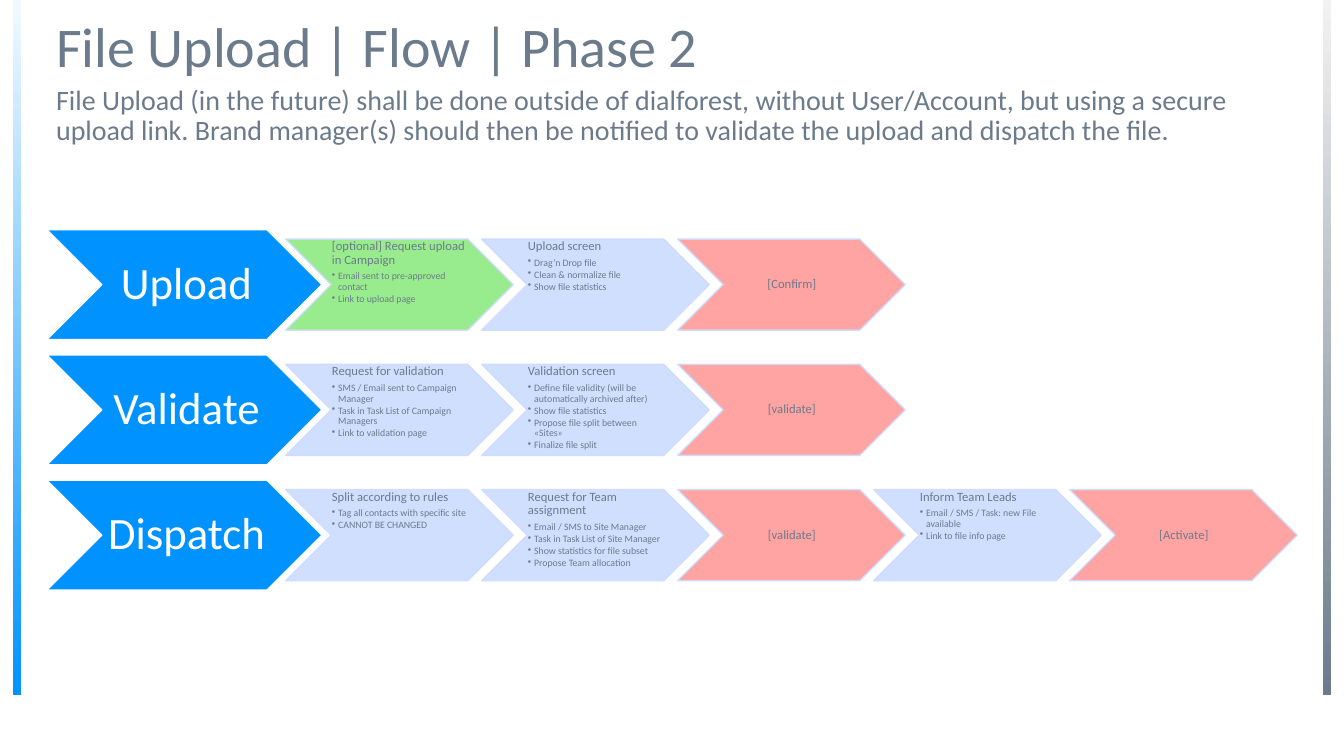
from lxml import etree
from pptx import Presentation
from pptx.dml.color import RGBColor
from pptx.enum.shapes import MSO_SHAPE as SHAPE
from pptx.enum.text import MSO_ANCHOR as ANCHOR, PP_ALIGN as ALIGN
from pptx.oxml.ns import qn
from pptx.util import Pt

WHITE = RGBColor(0xFF, 0xFF, 0xFF)
SLATE = RGBColor(0x6B, 0x7B, 0x8B)
BLUE = RGBColor(0x00, 0x93, 0xFF)
ICE = RGBColor(0xF2, 0xFA, 0xFF)
MIST = RGBColor(0xF2, 0xF2, 0xF2)
PALE = RGBColor(0xCC, 0xDC, 0xFF)
GREEN = RGBColor(0x8F, 0xEA, 0x81)
RED = RGBColor(0xFF, 0x99, 0x99)

TITLE = "File Upload | Flow | Phase 2"
INTRO = ("File Upload (in the future) shall be done outside of dialforest, without "
         "User/Account, but using a secure upload link. Brand manager(s) should then "
         "be notified to validate the upload and dispatch the file.")

FLOW = [
    ("Upload", [
        (GREEN, "[optional] Request upload in Campaign",
         ["Email sent to pre-approved contact", "Link to upload page"]),
        (PALE, "Upload screen",
         ["Drag’n Drop file", "Clean & normalize file", "Show file statistics"]),
        (RED, "[Confirm]", []),
    ]),
    ("Validate", [
        (PALE, "Request for validation",
         ["SMS / Email sent to Campaign Manager",
          "Task in Task List of Campaign Managers", "Link to validation page"]),
        (PALE, "Validation screen",
         ["Define file validity (will be automatically archived after)",
          "Show file statistics", "Propose file split between «Sites»",
          "Finalize file split"]),
        (RED, "[validate]", []),
    ]),
    ("Dispatch", [
        (PALE, "Split according to rules",
         ["Tag all contacts with specific site", "CANNOT BE CHANGED"]),
        (PALE, "Request for Team assignment",
         ["Email / SMS to Site Manager", "Task in Task List of Site Manager",
          "Show statistics for file subset", "Propose Team allocation"]),
        (RED, "[validate]", []),
        (PALE, "Inform Team Leads",
         ["Email / SMS / Task: new File available", "Link to file info page"]),
        (RED, "[Activate]", []),
    ]),
]

PHASE_W, PHASE_H = 196.5, 78.5
STEP_W, STEP_H = 162.5, 65
STEP_X, STEP_PITCH, ROW_PITCH = 170.6, 140, 89.5


def set_attrs(obj, values):
    """Set each attribute of obj from a dict."""
    for name, value in values.items():
        setattr(obj, name, value)


def add_alpha(parent, percent):
    """Make the solid colours under an element partly transparent."""
    for clr in parent.iter(qn("a:srgbClr")):
        etree.SubElement(clr, qn("a:alpha")).set("val", str(percent * 1000))


def add_bullet(p):
    """Give a paragraph a hanging bullet."""
    pPr = p._p.get_or_add_pPr()
    pPr.set("marL", str(Pt(4.5)))
    pPr.set("indent", str(-Pt(4.5)))
    etree.SubElement(pPr, qn("a:buChar")).set("char", "•")


def add_text(slide, box, lines, color, anchor, align, insets):
    """Place paragraphs of (text, size, space after, bulleted) in a box."""
    tf = slide.shapes.add_textbox(*map(Pt, box)).text_frame
    left, top, right, bottom = map(Pt, insets)
    set_attrs(tf, dict(word_wrap=True, vertical_anchor=anchor, margin_left=left,
                       margin_top=top, margin_right=right, margin_bottom=bottom))
    for i, (text, size, after, bulleted) in enumerate(lines):
        p = tf.add_paragraph() if i else tf.paragraphs[0]
        set_attrs(p, dict(alignment=align, line_spacing=0.9, space_after=Pt(after)))
        if bulleted:
            add_bullet(p)
        r = p.add_run()
        r.text = text
        set_attrs(r.font, dict(name="Calibri", size=Pt(size)))
        r.font.color.rgb = color


def add_edge(slide, box, top_color, bottom_color):
    """Draw a vertical gradient bar."""
    sp = slide.shapes.add_shape(SHAPE.RECTANGLE, *map(Pt, box))
    sp.shadow.inherit = False
    sp.line.fill.background()
    sp.fill.gradient()
    sp.fill.gradient_angle = 270
    for stop, color in zip(sp.fill.gradient_stops, (top_color, bottom_color)):
        stop.color.rgb = color


def add_heading(slide, box):
    """Write the title and the introduction below it."""
    x, y, w, h = box
    insets = (7.2, 3.6, 7.2, 3.6)
    add_text(slide, (x, y, w, 45), [(TITLE, 40, 0, False)],
             SLATE, ANCHOR.MIDDLE, ALIGN.LEFT, insets)
    add_text(slide, (x, y + 45, w, h - 45), [(INTRO, 20, 0, False)],
             SLATE, ANCHOR.TOP, ALIGN.LEFT, insets)


def add_chevron(slide, box, fill, line):
    """Draw a chevron and return it with the box its text sits in."""
    x, y, w, h = box
    sp = slide.shapes.add_shape(SHAPE.CHEVRON, *map(Pt, box))
    sp.shadow.inherit = False
    sp.fill.solid()
    sp.fill.fore_color.rgb = fill
    sp.line.color.rgb = line
    sp.line.width = Pt(1)
    return sp, (x + h / 2, y, w - h, h)


def add_step(slide, box, fill, heading, bullets):
    """Draw one step; a step without bullets is centred."""
    sp, inner = add_chevron(slide, box, fill, PALE)
    add_alpha(sp._element.spPr, 90)
    lines = [(heading, 9, 3.15, False)] + [(b, 7, 1.05, True) for b in bullets]
    anchor, align = ((ANCHOR.TOP, ALIGN.LEFT) if bullets
                     else (ANCHOR.MIDDLE, ALIGN.CENTER))
    add_text(slide, inner, lines, SLATE, anchor, align, (0.5, 0.5, 0, 0.5))


def add_phase(slide, x, y, name, steps):
    """Draw a phase chevron followed by its steps."""
    _, inner = add_chevron(slide, (x, y, PHASE_W, PHASE_H), BLUE, WHITE)
    add_text(slide, inner, [(name, 32, 0, False)], WHITE,
             ANCHOR.MIDDLE, ALIGN.CENTER, (3, 1.5, 0, 1.5))
    step_y = y + (PHASE_H - STEP_H) / 2
    for i, step in enumerate(steps):
        box = (x + STEP_X + i * STEP_PITCH, step_y, STEP_W, STEP_H)
        add_step(slide, box, *step)


def main():
    """Build the slide and save it."""
    prs = Presentation()
    set_attrs(prs, dict(slide_width=Pt(960), slide_height=Pt(540)))
    slide = prs.slides.add_slide(prs.slide_layouts[6])
    add_edge(slide, (9.4, 0, 5.8, 496.8), ICE, BLUE)
    add_edge(slide, (944.8, 0, 5.8, 496.8), MIST, SLATE)
    add_heading(slide, (33, 13, 894, 75))
    for row, (name, steps) in enumerate(FLOW):
        add_phase(slide, 33.5, 164 + row * ROW_PITCH, name, steps)
    prs.save("out.pptx")


if __name__ == "__main__":
    main()
